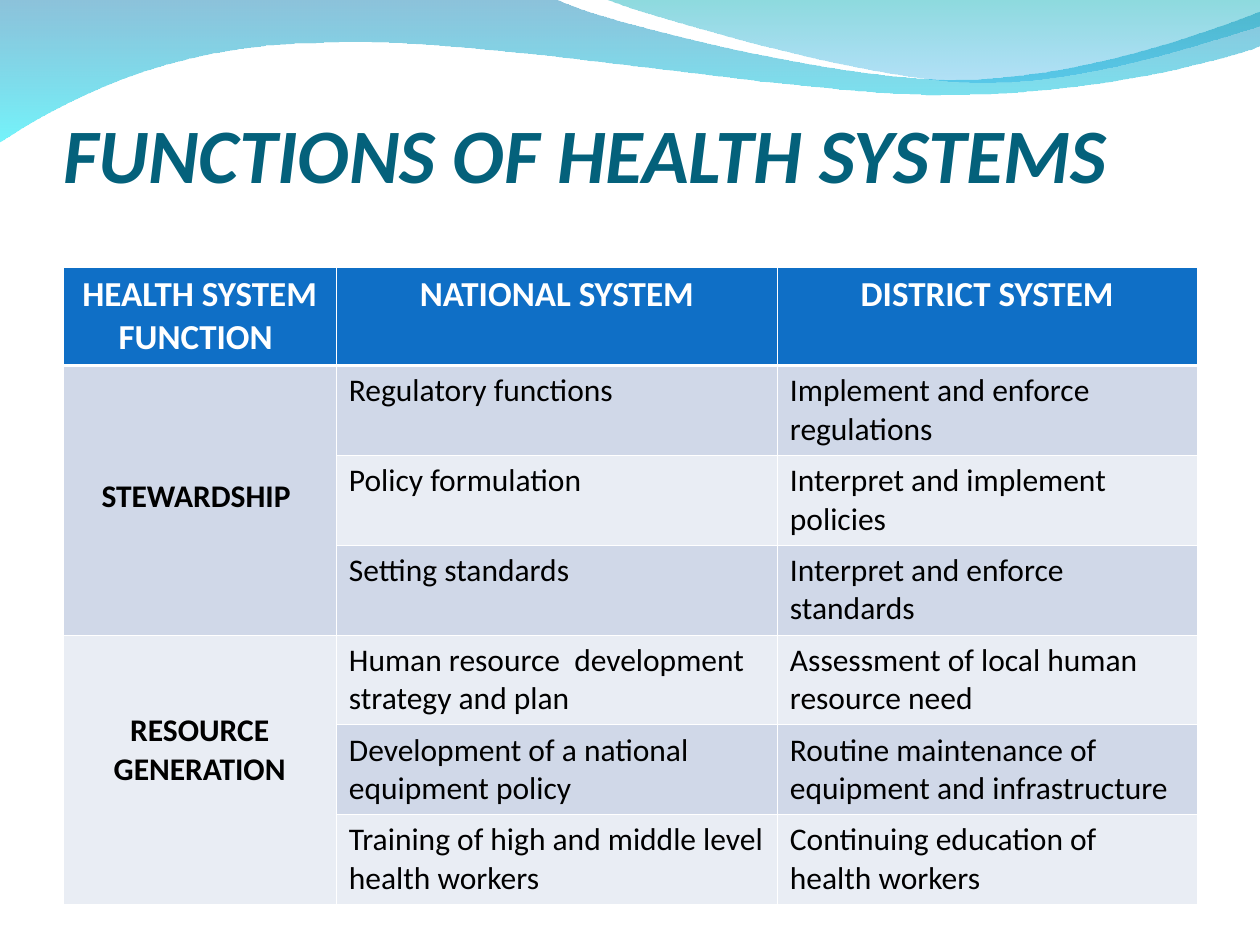
from dataclasses import dataclass

from lxml.etree import SubElement
from pptx import Presentation
from pptx.dml.color import RGBColor as Color
from pptx.enum.text import MSO_ANCHOR as Anchor, MSO_AUTO_SIZE as AutoSize, PP_ALIGN as Align
from pptx.oxml import parse_xml
from pptx.oxml.ns import nsdecls, qn
from pptx.util import Inches, Pt


@dataclass(frozen=True)
class Theme:
    """Colours, font and type sizes of the slide."""
    font: str = "Calibri"
    title: str = "04617B"
    header: str = "0F6FC6"
    bands: tuple = ("D0D8E8", "E9EDF4")
    white: str = "FFFFFF"
    black: str = "000000"
    title_size: float = 44
    header_size: float = 20
    body_size: float = 18
    thin_rule: float = 0.45
    thick_rule: float = 1.47


THEME = Theme()
SLIDE_SIZE = (10, 7.5)
HEADER_BOX = (0, 0, 10, 1.13)
TITLE_BOX = (0.5, 0.33, 9, 1.25)
TABLE_BOX = (0.5, 2.12, 9, 5.06)
COLUMN_WIDTHS = (2.17, 3.5, 3.33)
HEADER_HEIGHT = 0.78
LINE_HEIGHT = 0.28
CELL_MARGIN = 0.05

WAVES = (
    {
        "start": (-1, -1),
        "steps": (((440, -1),),
                  ((476, 17), (664, 63), (758, 63)),
                  ((853, 63), (958, 26), (1000, 9)),
                  ((1001, 36),),
                  ((983, 44), (870, 76), (746, 75)),
                  ((622, 75), (382, 28), (257, 34)),
                  ((129, 35), (46, 83), (-1, 113))),
        "stops": (("0079AF", 45), ("00EBF8", 55)),
    },
    {
        "start": (479, -1),
        "steps": (((509, 11), (682, 62), (769, 65)),
                  ((856, 69), (961, 32), (1000, 21)),
                  ((1000, 0),)),
        "stops": (("00ADB6", 45), ("009BE5", 30)),
    },
)

HEADINGS = ("HEALTH SYSTEM FUNCTION ", "NATIONAL SYSTEM", "DISTRICT SYSTEM")
GROUPS = (
    ("STEWARDSHIP ", 3, (
        ("Regulatory functions", "Implement and enforce regulations"),
        ("Policy formulation", "Interpret and implement policies"),
        ("Setting standards", "Interpret and enforce standards"))),
    ("RESOURCE GENERATION", 2, (
        ("Human resource  development strategy and plan", "Assessment of local human resource need"),
        ("Development of a national equipment policy", "Routine maintenance of equipment and infrastructure"),
        ("Training of high and middle level health workers", "Continuing education of health workers"))),
)


def apply(target, values):
    """Set every attribute named in a dict."""
    for name, value in values.items():
        setattr(target, name, value)


def write(frame, text, size, color, align=Align.LEFT, bold=False, italic=False):
    """Put one formatted paragraph in a text frame."""
    frame.text = text
    paragraph = frame.paragraphs[0]
    paragraph.alignment = align
    font = paragraph.runs[0].font
    apply(font, {"name": THEME.font, "size": Pt(size), "bold": bold, "italic": italic})
    font.color.rgb = Color.from_string(color)


def bend(shape, steps):
    """Join each run of three straight segments into one cubic curve."""
    segments = iter(list(shape._element.iter(qn("a:lnTo"))))
    for step in steps:
        first, *others = [next(segments) for _ in step]
        if others:
            first.tag = qn("a:cubicBezTo")
            for segment in others:
                first.append(segment[0])
                segment.getparent().remove(segment)


def add_waves(slide, box):
    """Draw the translucent waves on a grid of 1000 columns across the box."""
    left, top, width, _ = map(Inches, box)
    for wave in WAVES:
        builder = slide.shapes.build_freeform(*wave["start"], scale=width / 1000)
        builder.add_line_segments([point for step in wave["steps"] for point in step], close=True)
        shape = builder.convert_to_shape(left, top)
        bend(shape, wave["steps"])
        shape.shadow.inherit = False
        shape.line.fill.background()
        shape.fill.gradient()
        shape.fill.gradient_angle = 270
        for stop, (color, _), position in zip(shape.fill.gradient_stops, wave["stops"], (0, 1)):
            stop.position = position
            stop.color.rgb = Color.from_string(color)
        for element, (_, opacity) in zip(shape._element.iter(qn("a:srgbClr")), wave["stops"]):
            SubElement(element, qn("a:alpha"), val=str(opacity * 1000))


def add_title(slide, box):
    """Place the title placeholder above the waves."""
    title = slide.shapes.title
    slide.shapes._spTree.append(title._element)
    apply(title, dict(zip(("left", "top", "width", "height"), map(Inches, box))))
    apply(title.text_frame, {
        "vertical_anchor": Anchor.BOTTOM, "word_wrap": True, "auto_size": AutoSize.NONE,
        "margin_left": 0, "margin_right": 0, "margin_top": Inches(0.05), "margin_bottom": 0})
    write(title.text_frame, "FUNCTIONS OF HEALTH SYSTEMS", THEME.title_size, THEME.title,
          bold=True, italic=True)


def style_cell(cell, row, color):
    """Fill a cell and rule its four sides."""
    cell.fill.solid()
    cell.fill.fore_color.rgb = Color.from_string(color)
    thick_sides = {0: "B", 1: "T"}
    properties = cell._tc.get_or_add_tcPr()
    for index, side in enumerate("LRTB"):
        weight = THEME.thick_rule if thick_sides.get(row) == side else THEME.thin_rule
        properties.insert(index, parse_xml(
            f'<a:ln{side} {nsdecls("a")} w="{Pt(weight)}"><a:solidFill>'
            f'<a:srgbClr val="{THEME.white}"/></a:solidFill></a:ln{side}>'))


def add_functions_table(slide, box):
    """Build the table of functions with one merged label per group."""
    row_count = 1 + sum(len(rows) for _, _, rows in GROUPS)
    table = slide.shapes.add_table(row_count, len(HEADINGS), *map(Inches, box)).table
    for column, width in zip(table.columns, COLUMN_WIDTHS):
        column.width = Inches(width)
    body_height = (box[3] - HEADER_HEIGHT) / (row_count - 1)
    for index, row in enumerate(table.rows):
        row.height = Inches(body_height if index else HEADER_HEIGHT)
        for cell in row.cells:
            style_cell(cell, index, THEME.bands[(index - 1) % 2] if index else THEME.header)
    for column, heading in enumerate(HEADINGS):
        write(table.cell(0, column).text_frame, heading, THEME.header_size, THEME.white,
              Align.CENTER, bold=True)
    first = 1
    for label, lines_above, rows in GROUPS:
        label_cell = table.cell(first, 0)
        label_cell.merge(table.cell(first + len(rows) - 1, 0))
        label_cell.margin_top = Inches(CELL_MARGIN + lines_above * LINE_HEIGHT)
        write(label_cell.text_frame, label, THEME.body_size, THEME.black, Align.CENTER, bold=True)
        for row, texts in enumerate(rows, first):
            for column, text in enumerate(texts, 1):
                write(table.cell(row, column).text_frame, text, THEME.body_size, THEME.black)
        first += len(rows)


def main():
    """Build and save the presentation."""
    presentation = Presentation()
    apply(presentation, dict(zip(("slide_width", "slide_height"), map(Inches, SLIDE_SIZE))))
    slide = presentation.slides.add_slide(presentation.slide_layouts.get_by_name("Title Only"))
    add_waves(slide, HEADER_BOX)
    add_title(slide, TITLE_BOX)
    add_functions_table(slide, TABLE_BOX)
    presentation.save("out.pptx")


if __name__ == "__main__":
    main()
